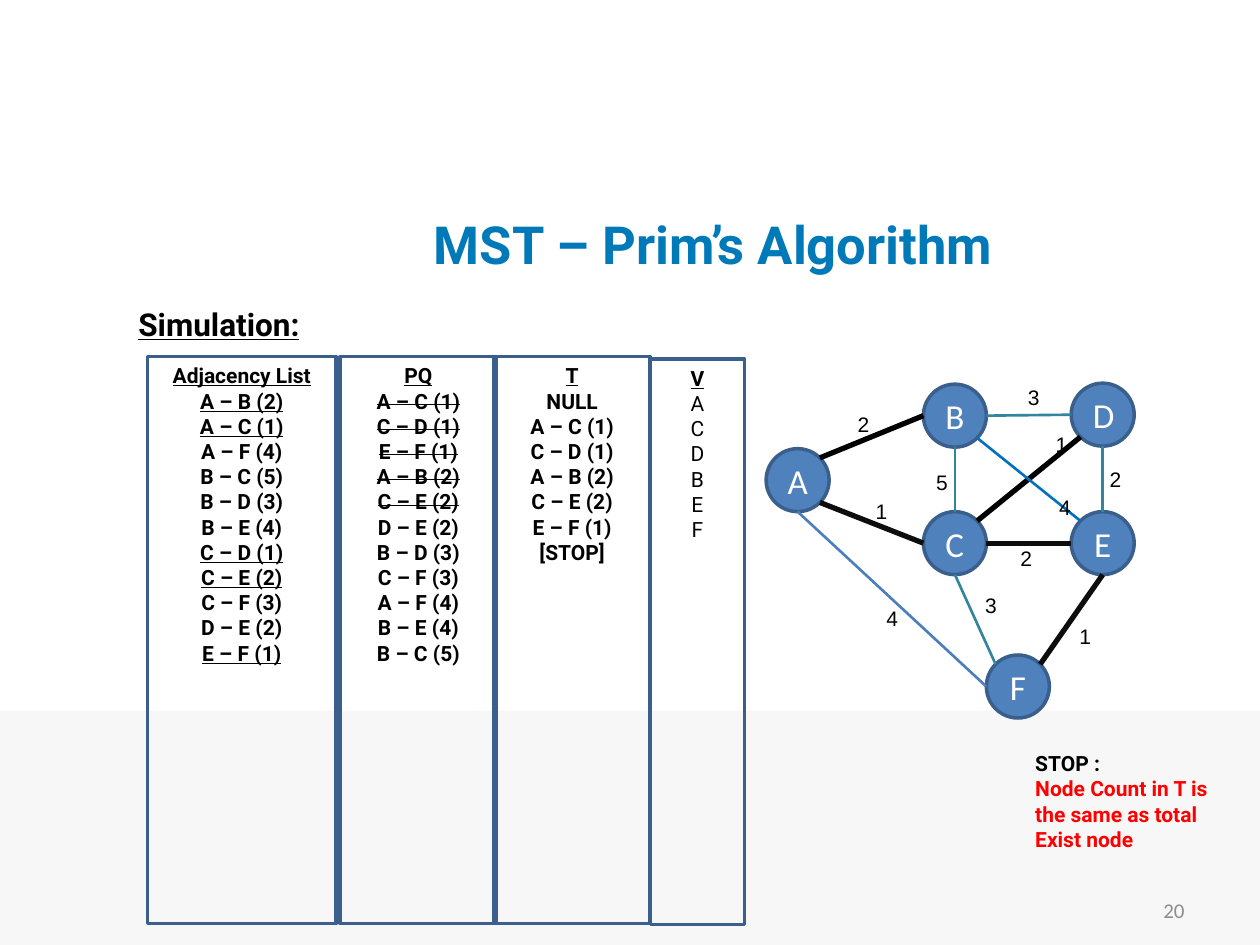
from math import cos, radians, sin

from lxml import etree
from pptx import Presentation
from pptx import util as u
from pptx.dml.color import RGBColor
from pptx.enum import shapes, text
from pptx.oxml import ns

BLACK = RGBColor(0x00, 0x00, 0x00)
INK = RGBColor(0x0D, 0x0D, 0x0D)
WHITE = RGBColor(0xFF, 0xFF, 0xFF)
RED = RGBColor(0xFF, 0x00, 0x00)
GREY = RGBColor(0x8C, 0x8C, 0x8C)
BAND = RGBColor(0xF7, 0xF7, 0xF7)
TITLE_BLUE = RGBColor(0x00, 0x79, 0xB8)
NODE_BLUE = RGBColor(0x4F, 0x81, 0xBD)
OUTLINE = RGBColor(0x3A, 0x5F, 0x8C)
TEAL = RGBColor(0x31, 0x85, 0x9C)
BRIGHT_BLUE = RGBColor(0x00, 0x70, 0xC0)
SOFT_BLUE = RGBColor(0x4B, 0x7E, 0xBC)

LEFT, CENTER, RIGHT = text.PP_ALIGN.LEFT, text.PP_ALIGN.CENTER, text.PP_ALIGN.RIGHT
TOP, MIDDLE = text.MSO_ANCHOR.TOP, text.MSO_ANCHOR.MIDDLE
BODY = {"name": "Roboto", "size": u.Pt(12), "bold": True}

COLUMNS = [
    {"box": (2.97, 7.19, 3.81, 11.43), "heading": "Adjacency List",
     "entries": ["A – B (2)", "A – C (1)", "A – F (4)", "B – C (5)", "B – D (3)", "B – E (4)",
                 "C – D (1)", "C – E (2)", "C – F (3)", "D – E (2)", "E – F (1)"],
     "underlined": {"A – B (2)", "A – C (1)", "C – D (1)", "C – E (2)", "E – F (1)"}},
    {"box": (6.86, 7.19, 3.15, 11.43), "heading": "PQ",
     "entries": ["A – C (1)", "C – D (1)", "E – F (1)", "A – B (2)", "C – E (2)", "D – E (2)",
                 "B – D (3)", "C – F (3)", "A – F (4)", "B – E (4)", "B – C (5)"],
     "struck": {"A – C (1)", "C – D (1)", "E – F (1)", "A – B (2)", "C – E (2)"}},
    {"box": (9.96, 7.19, 3.15, 11.43), "heading": "T",
     "entries": ["NULL", "A – C (1)", "C – D (1)", "A – B (2)", "C – E (2)", "E – F (1)", "[STOP]"]},
    {"box": (13.11, 7.24, 1.9, 11.4), "heading": "V", "entries": list("ACDBEF"), "bold": False},
]

NODE_SIZE = 1.27
NODES = {"A": (0.64, 1.96), "B": (3.81, 0.66), "C": (3.81, 3.23),
         "D": (6.79, 0.64), "E": (6.79, 3.23), "F": (5.08, 6.12)}
EDGES = [
    ("A", -45, "B", 180, BLACK, 3, "2", (1.6, 0.46)),
    ("A", 45, "C", 180, INK, 3, "1", (1.96, 2.21)),
    ("B", 0, "D", 180, TEAL, 1.5, "3", (5.03, -0.1)),
    ("D", 90, "E", -90, TEAL, 1.5, "2", (6.68, 1.57)),
    ("C", 0, "E", 180, INK, 3, "2", (4.88, 3.15)),
    ("B", 90, "C", -90, TEAL, 1.5, "5", (3.18, 1.63)),
    ("D", 135, "C", -45, BLACK, 3, "1", (5.59, 0.86)),
    ("B", 45, "E", -135, BRIGHT_BLUE, 1.5, "4", (5.66, 2.13)),
    ("A", 90, "F", 180, SOFT_BLUE, 1.5, "4", (2.18, 4.37)),
    ("F", -45, "E", 90, INK, 3, "1", (6.07, 4.72)),
    ("C", 90, "F", -135, TEAL, 1.5, "3", (4.17, 4.11)),
]


def lengths(*values):
    """Turn centimetre values into slide lengths."""
    return [u.Cm(value) for value in values]


def write_line(paragraph, words, formats, color=BLACK, align=LEFT):
    """Write one formatted run into a paragraph and return the run."""
    paragraph.alignment = align
    run = paragraph.add_run()
    run.text = words
    for name, value in formats.items():
        setattr(run.font, name, value)
    run.font.color.rgb = color
    return run


def next_paragraph(frame, index):
    """Return the first paragraph of a frame, or a new one after it."""
    return frame.paragraphs[0] if index == 0 else frame.add_paragraph()


def add_text(slide, box, lines, formats, align=LEFT, anchor=TOP, wrap=True):
    """Place a text box holding (words, color) lines."""
    frame = slide.shapes.add_textbox(*lengths(*box)).text_frame
    frame.word_wrap = wrap
    frame.vertical_anchor = anchor
    for index, (words, color) in enumerate(lines):
        write_line(next_paragraph(frame, index), words, formats, color, align)
    return frame


def add_box(slide, kind, box, fill=None, outline=None):
    """Place a flat preset shape with an optional fill and outline."""
    shape = slide.shapes.add_shape(kind, *lengths(*box))
    shape.shadow.inherit = False
    if fill is None:
        shape.fill.background()
    else:
        shape.fill.solid()
        shape.fill.fore_color.rgb = fill
    if outline is None:
        shape.line.fill.background()
    else:
        shape.line.color.rgb = outline
        shape.line.width = u.Pt(2)
    return shape


def add_title(slide, box):
    """Move and format the title placeholder."""
    title = slide.shapes.title
    for name, value in zip(("left", "top", "width", "height"), lengths(*box)):
        setattr(title, name, value)
    title.text_frame.vertical_anchor = MIDDLE
    write_line(title.text_frame.paragraphs[0], "MST – Prim’s Algorithm",
               {**BODY, "size": u.Pt(30)}, TITLE_BLUE, CENTER)


def add_column(slide, box, heading, entries, underlined=(), struck=(), bold=True):
    """Place one outlined column with an underlined heading and its entries."""
    shape = add_box(slide, shapes.MSO_SHAPE.RECTANGLE, box, outline=OUTLINE)
    frame = shape.text_frame
    frame.vertical_anchor = TOP
    write_line(frame.paragraphs[0], heading, {**BODY, "underline": True}, align=CENTER)
    for entry in entries:
        formats = {**BODY, "bold": bold, "underline": entry in underlined}
        run = write_line(frame.add_paragraph(), entry, formats, align=CENTER)
        if entry in struck:
            run.font._element.set("strike", "sngStrike")


def add_edge(slide, start, end, color, width):
    """Draw a straight edge between two points."""
    edge = slide.shapes.add_connector(shapes.MSO_CONNECTOR.STRAIGHT, *lengths(*start, *end))
    edge.line.color.rgb = color
    edge.line.width = u.Pt(width)
    etree.SubElement(edge._element.spPr, ns.qn("a:effectLst"))


def add_graph(slide, left, top):
    """Place the weighted graph with its top left corner at the given point."""
    radius = NODE_SIZE / 2

    def rim(node, angle):
        """Return the point on a node's rim at a clockwise angle from the right."""
        x, y = NODES[node]
        return (left + x + radius * cos(radians(angle)), top + y + radius * sin(radians(angle)))

    for node, (x, y) in NODES.items():
        box = (left + x - radius, top + y - radius, NODE_SIZE, NODE_SIZE)
        frame = add_box(slide, shapes.MSO_SHAPE.OVAL, box, NODE_BLUE, OUTLINE).text_frame
        frame.vertical_anchor = MIDDLE
        write_line(frame.paragraphs[0], node, {"name": "Calibri", "size": u.Pt(20)}, WHITE, CENTER)
    for first, first_angle, second, second_angle, color, width, _, _ in EDGES:
        add_edge(slide, rim(first, first_angle), rim(second, second_angle), color, width)
    for *_, weight, (x, y) in EDGES:
        add_text(slide, (left + x, top + y, 0.74, 0.76), [(weight, BLACK)],
                 {"name": "Arial", "size": u.Pt(12)}, wrap=False)


def build_slide(presentation):
    """Build the Prim's algorithm simulation slide."""
    slide = presentation.slides.add_slide(presentation.slide_layouts[5])
    add_box(slide, shapes.MSO_SHAPE.RECTANGLE, (0, 14.33, 25.4, 4.72), BAND)
    add_title(slide, (4.88, 3.81, 19, 2.21))
    add_text(slide, (18.21, 17.83, 5.92, 1.02), [("20", GREY)],
             {"name": "Calibri", "size": u.Pt(12)}, RIGHT, MIDDLE)
    frame = add_text(slide, (2.54, 6.02, 5.08, 1.22), [("Simulation:", BLACK)],
                     {**BODY, "size": u.Pt(18), "underline": True})
    frame.paragraphs[0].space_before = u.Pt(3.6)
    for column in COLUMNS:
        add_column(slide, **column)
    add_graph(slide, 15.44, 7.72)
    add_text(slide, (20.62, 15.01, 4.52, 2.31),
             [("STOP :", BLACK), ("Node Count in T is", RED),
              ("the same as total", RED), ("Exist node", RED)], BODY)


presentation = Presentation()
presentation.slide_width, presentation.slide_height = lengths(25.4, 19.05)
build_slide(presentation)
presentation.save("out.pptx")
